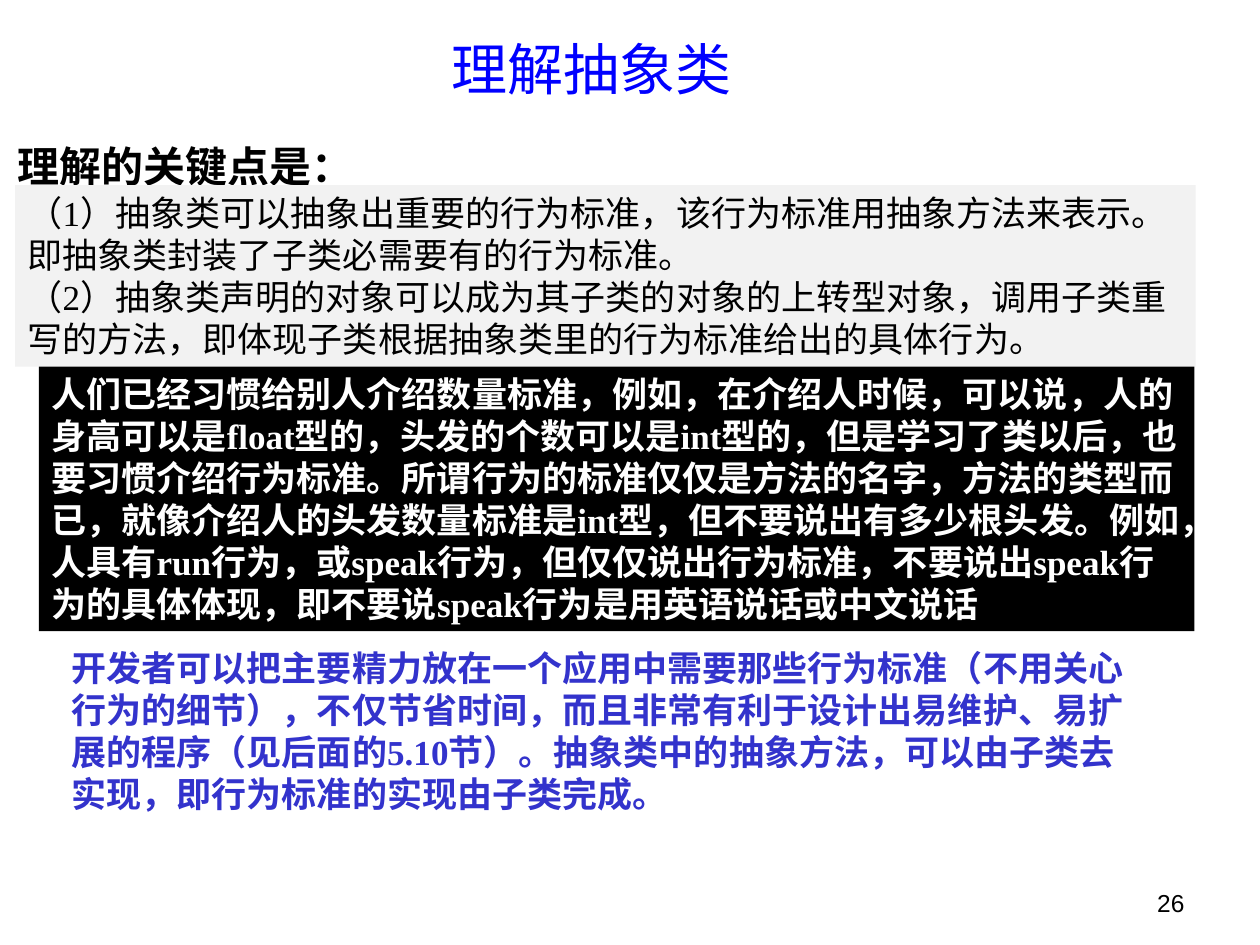
"""Build the slide that explains how to understand abstract classes."""
from dataclasses import dataclass

from pptx import Presentation
from pptx.dml.color import RGBColor
from pptx.enum.shapes import MSO_SHAPE
from pptx.enum.text import MSO_ANCHOR, MSO_AUTO_SIZE, PP_ALIGN
from pptx.slide import Slide
from pptx.util import Inches, Pt

COLORS = {
    "title": "0000FF",
    "ink": "000000",
    "pale": "F2F2F2",
    "white": "FFFFFF",
    "accent": "3333CC",
}

KEY_POINTS = [
    "（1）抽象类可以抽象出重要的行为标准，该行为标准用抽象方法来表示。即抽象类封装了子类必需要有的行为标准。",
    "（2）抽象类声明的对象可以成为其子类的对象的上转型对象，调用子类重写的方法，即体现子类根据抽象类里的行为标准给出的具体行为。",
]
ANALOGY = (
    "人们已经习惯给别人介绍数量标准，例如，在介绍人时候，可以说，人的身高可以是float型的，"
    "头发的个数可以是int型的，但是学习了类以后，也要习惯介绍行为标准。"
    "所谓行为的标准仅仅是方法的名字，方法的类型而已，就像介绍人的头发数量标准是int型，"
    "但不要说出有多少根头发。例如，人具有run行为，或speak行为，但仅仅说出行为标准，"
    "不要说出speak行为的具体体现，即不要说speak行为是用英语说话或中文说话"
)
BENEFIT = (
    "开发者可以把主要精力放在一个应用中需要那些行为标准（不用关心行为的细节），"
    "不仅节省时间，而且非常有利于设计出易维护、易扩展的程序（见后面的5.10节）。"
    "抽象类中的抽象方法，可以由子类去实现，即行为标准的实现由子类完成。"
)


@dataclass
class SlideBuilder:
    """Hold the text style and the current slide."""

    slide: Slide
    font_name: str = "Times New Roman"
    size: int = 20

    def format_text(self, shape, texts, color, align=PP_ALIGN.LEFT,
                    anchor=MSO_ANCHOR.TOP, wrap=True, **font_values):
        """Fill a shape with formatted paragraphs."""
        frame = shape.text_frame
        frame_values = {
            "text": "\n".join(texts),
            "auto_size": MSO_AUTO_SIZE.NONE,
            "word_wrap": wrap,
            "vertical_anchor": anchor,
        }
        for name, value in frame_values.items():
            setattr(frame, name, value)
        values = {"name": self.font_name, "size": Pt(self.size), "bold": False}
        values.update(font_values)
        for paragraph in frame.paragraphs:
            paragraph.alignment = align
            for run in paragraph.runs:
                for name, value in values.items():
                    setattr(run.font, name, value)
                run.font.color.rgb = RGBColor.from_string(COLORS[color])

    def title(self, box, text):
        """Place and format the title placeholder."""
        shape = self.slide.shapes.title
        for name, value in zip(("left", "top", "width", "height"), box):
            setattr(shape, name, Inches(value))
        self.format_text(shape, [text], "title", PP_ALIGN.CENTER,
                         MSO_ANCHOR.MIDDLE, size=Pt(32))

    def text(self, box, text, color, **style):
        """Add a text box."""
        shape = self.slide.shapes.add_textbox(*map(Inches, box))
        self.format_text(shape, [text], color, **style)

    def panel(self, box, texts, fill, color, **style):
        """Add a filled rectangle with text."""
        shape = self.slide.shapes.add_shape(
            MSO_SHAPE.RECTANGLE, *map(Inches, box))
        shape.shadow.inherit = False
        shape.fill.solid()
        shape.fill.fore_color.rgb = RGBColor.from_string(COLORS[fill])
        shape.line.fill.background()
        self.format_text(shape, texts, color, **style)


def main():
    """Build and save the presentation."""
    presentation = Presentation()
    presentation.slide_width = Inches(10)
    presentation.slide_height = Inches(7.5)
    builder = SlideBuilder(
        presentation.slides.add_slide(presentation.slide_layouts[5]))

    builder.title((0.86, 0.23, 7.67, 0.62), "理解抽象类")
    builder.text((0.04, 1.07, 2.86, 0.5), "理解的关键点是：", "ink",
                 wrap=False, size=Pt(24), bold=True)
    builder.panel((0.12, 1.47, 9.37, 1.44), KEY_POINTS, "pale", "ink")
    builder.panel((0.31, 2.91, 9.17, 2.1), [ANALOGY], "ink", "white", bold=True)
    builder.text((0.47, 5.08, 8.66, 1.44), BENEFIT, "accent", bold=True)
    builder.text((7.17, 7, 2.33, 0.35), "26", "ink",
                 align=PP_ALIGN.RIGHT, name="Arial", size=Pt(14))
    presentation.save("out.pptx")


if __name__ == "__main__":
    main()
